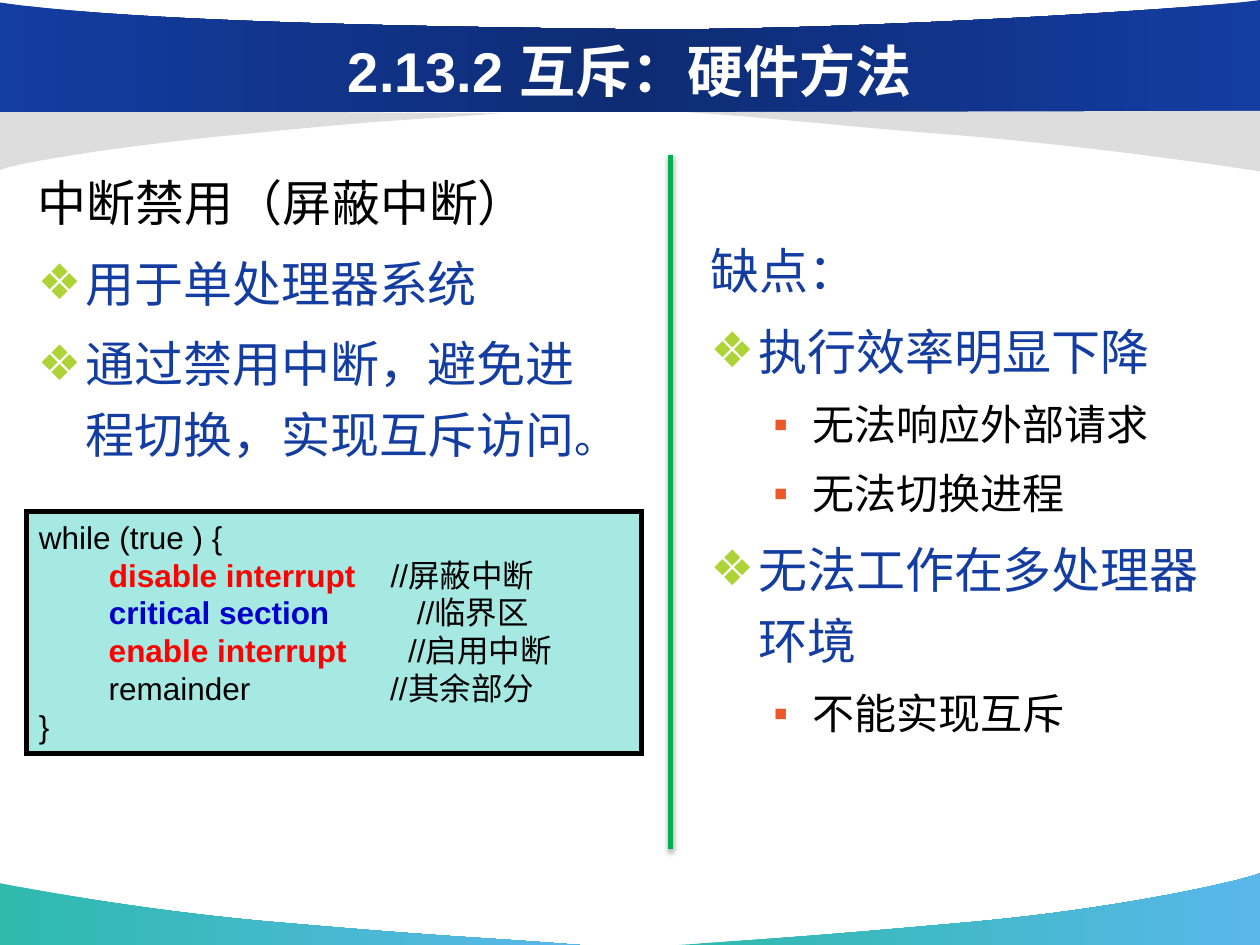
from lxml.etree import SubElement
from pptx import Presentation
from pptx.dml.color import RGBColor
from pptx.enum.shapes import MSO_CONNECTOR, MSO_SHAPE
from pptx.enum.text import MSO_ANCHOR, MSO_AUTO_SIZE, PP_ALIGN
from pptx.oxml import parse_xml
from pptx.oxml.ns import nsdecls, qn
from pptx.util import Inches, Pt

WIDTH, HEIGHT = 10, 7.5
LEFT_COL, RIGHT_COL, DIVIDER_X = 0.2, 5.54, 5.32
TOP = 1.23

WHITE = RGBColor(0xFF, 0xFF, 0xFF)
BLACK = RGBColor(0, 0, 0)
NAVY = RGBColor(0x14, 0x3D, 0xA2)
DARK_NAVY = RGBColor(0x0E, 0x2C, 0x74)
TEAL = RGBColor(0x2E, 0xBA, 0xAD)
SKY = RGBColor(0x5A, 0xB7, 0xEA)
GREY = RGBColor(0xDD, 0xDD, 0xDD)
MINT = RGBColor(0xA6, 0xE9, 0xE3)
GREEN = RGBColor(0x00, 0xB0, 0x50)
LIME = RGBColor(0xAE, 0xD3, 0x37)
ORANGE = RGBColor(0xEB, 0x59, 0x2B)
RED = RGBColor(0xFF, 0, 0)
BLUE = RGBColor(0, 0, 0xCC)

# Each style: size, colour, bullet, bullet colour, left margin, hanging indent
HEADING = (28, BLACK, None, None, 0, 0)
LABEL = (28, NAVY, None, None, 0, 0)
POINT = (28, NAVY, "❖", LIME, 0.38, 0.38)
DETAIL = (24, BLACK, "▪", ORANGE, 0.81, 0.31)

# Each band: start, two cubic curves (three points each), corners, fill colours
BANDS = [
    ((4.6, 7.5), [(3.84, 7.44), (3.58, 7.44), (2.32, 7.33),
                  (1.06, 7.23), (0.01, 7.01), (0, 7.01)],
     [(0, HEIGHT)], [TEAL, SKY]),
    ((5.39, 7.5), [(6.14, 7.45), (6.46, 7.43), (7.69, 7.32),
                   (8.92, 7.21), (9.9, 6.98), (10, 6.93)],
     [(WIDTH, HEIGHT)], [TEAL, SKY]),
    ((3.98, 0.9), [(3.31, 0.95), (3.18, 0.94), (2.08, 1.05),
                   (0.97, 1.15), (0.09, 1.3), (0, 1.35)],
     [(0, 0.87)], [GREY]),
    ((10, 0), [(9.64, 0.06), (6.53, 0.26), (4.87, 0.23),
               (3.21, 0.21), (1.01, 0.17), (0, 0.02)],
     [(0, 0.89), (WIDTH, 0.89)], [NAVY, DARK_NAVY, NAVY]),
    ((5.44, 0.89), [(6.2, 0.94), (6.42, 0.98), (7.68, 1.08),
                    (8.94, 1.19), (9.99, 1.36), (10, 1.36)],
     [(WIDTH, 0.88)], [GREY]),
]

CODE = [
    [("while (true ) {", BLACK, False)],
    [("        ", BLACK, False), ("disable interrupt    ", RED, True),
     ("//屏蔽中断", BLACK, False)],
    [("        ", BLACK, False), ("critical section          ", BLUE, True),
     ("//临界区", BLACK, False)],
    [("        enable interrupt       ", RED, True), ("//启用中断", BLACK, False)],
    [("        remainder                //其余部分", BLACK, False)],
    [("}", BLACK, False)],
]


def bend_segments(shape, count):
    """Turn the first straight segments, three by three, into cubic curves."""
    segments = list(shape._element.iter(qn("a:lnTo")))[:count]
    for first, second, third in zip(*[iter(segments)] * 3):
        first.tag = qn("a:cubicBezTo")
        for segment in (second, third):
            first.append(segment[0])
            segment.getparent().remove(segment)


def add_band(slide, start, curves, corners, colours):
    points = [tuple(map(Inches, point)) for point in [start] + curves + corners]
    builder = slide.shapes.build_freeform(*points[0])
    builder.add_line_segments(points[1:], close=True)
    band = builder.convert_to_shape()
    bend_segments(band, len(curves))
    band.shadow.inherit = False
    band.line.fill.background()
    if len(colours) == 1:
        band.fill.solid()
        band.fill.fore_color.rgb = colours[0]
        return
    band.fill.gradient()
    band.fill.gradient_angle = 0
    stops = band._element.spPr.find(qn("a:gradFill")).find(qn("a:gsLst"))
    stops.clear()
    for i, colour in enumerate(colours):
        position = 100000 * i // (len(colours) - 1)
        stop = SubElement(stops, qn("a:gs"), pos=str(position))
        SubElement(stop, qn("a:srgbClr"), val=str(colour))


def add_run(paragraph, text, size, colour, bold=False, font="Arial"):
    run = paragraph.add_run()
    run.text = text
    run.font.size = Pt(size)
    run.font.bold = bold
    run.font.name = font
    run.font.color.rgb = colour


def set_title(slide):
    title = slide.shapes.title
    title.left, title.top = Inches(0.5), Inches(0.05)
    title.width, title.height = Inches(9), Inches(1.02)
    frame = title.text_frame
    frame.auto_size = MSO_AUTO_SIZE.NONE
    frame.vertical_anchor = MSO_ANCHOR.MIDDLE
    heading = frame.paragraphs[0]
    heading.alignment = PP_ALIGN.CENTER
    add_run(heading, "2.13.2 ", 32, WHITE, True)
    add_run(heading, "互斥：硬件方法", 32, WHITE, True, "Times New Roman")
    # Bring the title in front of the bands
    slide.shapes._spTree.append(title._element)


def set_bullet(paragraph, bullet, colour, margin, hanging):
    props = paragraph._p.get_or_add_pPr()
    props.set("marL", str(Inches(margin)))
    props.set("indent", str(-Inches(hanging)))
    mark = SubElement(props, qn("a:buClr"))
    SubElement(mark, qn("a:srgbClr"), val=str(colour))
    SubElement(props, qn("a:buFont"), typeface="Arial")
    SubElement(props, qn("a:buChar"), char=bullet)


def add_outline(slide, left, top, width, height, items):
    """Each item is a style followed by (text, size) or plain text runs."""
    box = slide.shapes.add_textbox(*map(Inches, (left, top, width, height)))
    frame = box.text_frame
    frame.word_wrap = True
    for i, (style, *texts) in enumerate(items):
        size, colour, bullet, bullet_colour, margin, hanging = style
        paragraph = frame.add_paragraph() if i else frame.paragraphs[0]
        if bullet:
            set_bullet(paragraph, bullet, bullet_colour, margin, hanging)
        paragraph.level = 1 if style is DETAIL else 0
        paragraph.line_spacing = 1.2
        if i:
            paragraph.space_before = Pt(size * 0.2)
        for text in texts:
            text, run_size = text if isinstance(text, tuple) else (text, size)
            add_run(paragraph, text, run_size, colour)


def add_code(slide, left, top, width, height):
    box = slide.shapes.add_shape(
        MSO_SHAPE.RECTANGLE, *map(Inches, (left, top, width, height)))
    box.shadow.inherit = False
    box.fill.solid()
    box.fill.fore_color.rgb = MINT
    box.line.color.rgb = BLACK
    box.line.width = Pt(3)
    SubElement(box.line._get_or_add_ln(), qn("a:miter"), lim="800000")
    frame = box.text_frame
    frame.word_wrap = True
    frame.vertical_anchor = MSO_ANCHOR.TOP
    for i, runs in enumerate(CODE):
        line = frame.add_paragraph() if i else frame.paragraphs[0]
        line.alignment = PP_ALIGN.LEFT
        for text, colour, bold in runs:
            add_run(line, text, 18, colour, bold)


def add_divider(slide, x, top, bottom):
    divider = slide.shapes.add_connector(
        MSO_CONNECTOR.STRAIGHT, *map(Inches, (x, top, x, bottom)))
    divider.line.color.rgb = GREEN
    divider.line.width = Pt(2.75)
    divider._element.spPr.append(parse_xml(
        f'<a:effectLst {nsdecls("a")}><a:outerShdw blurRad="{Pt(3.1)}" '
        f'dist="{Pt(1.6)}" dir="5400000" rotWithShape="0"><a:srgbClr val="{BLACK}">'
        '<a:alpha val="38000"/></a:srgbClr></a:outerShdw></a:effectLst>'))


def main():
    prs = Presentation()
    prs.slide_width, prs.slide_height = Inches(WIDTH), Inches(HEIGHT)
    slide = prs.slides.add_slide(prs.slide_layouts[5])

    # Banner and footer bands, then the title
    for band in BANDS:
        add_band(slide, *band)
    set_title(slide)

    # Left column: the method and its code
    add_outline(slide, LEFT_COL, TOP, 4.65, 2.5, [
        (HEADING, "中断禁用（屏蔽中断）"),
        (POINT, "用于单处理器系统"),
        (POINT, "通过禁用中断，避免进程切换，实现互斥访问", ("。", 24)),
    ])
    add_code(slide, LEFT_COL + 0.01, 4.06, 4.88, 1.92)

    # Right column: the drawbacks
    add_divider(slide, DIVIDER_X, TOP, 6.74)
    add_outline(slide, RIGHT_COL, 1.77, 4.11, 4.95, [
        (LABEL, "缺点："),
        (POINT, "执行效率明显下降"),
        (DETAIL, "无法响应外部请求"),
        (DETAIL, "无法切换进程"),
        (POINT, "无法工作在多处理器环境"),
        (DETAIL, "不能实现互斥"),
    ])

    prs.save("out.pptx")


if __name__ == "__main__":
    main()
